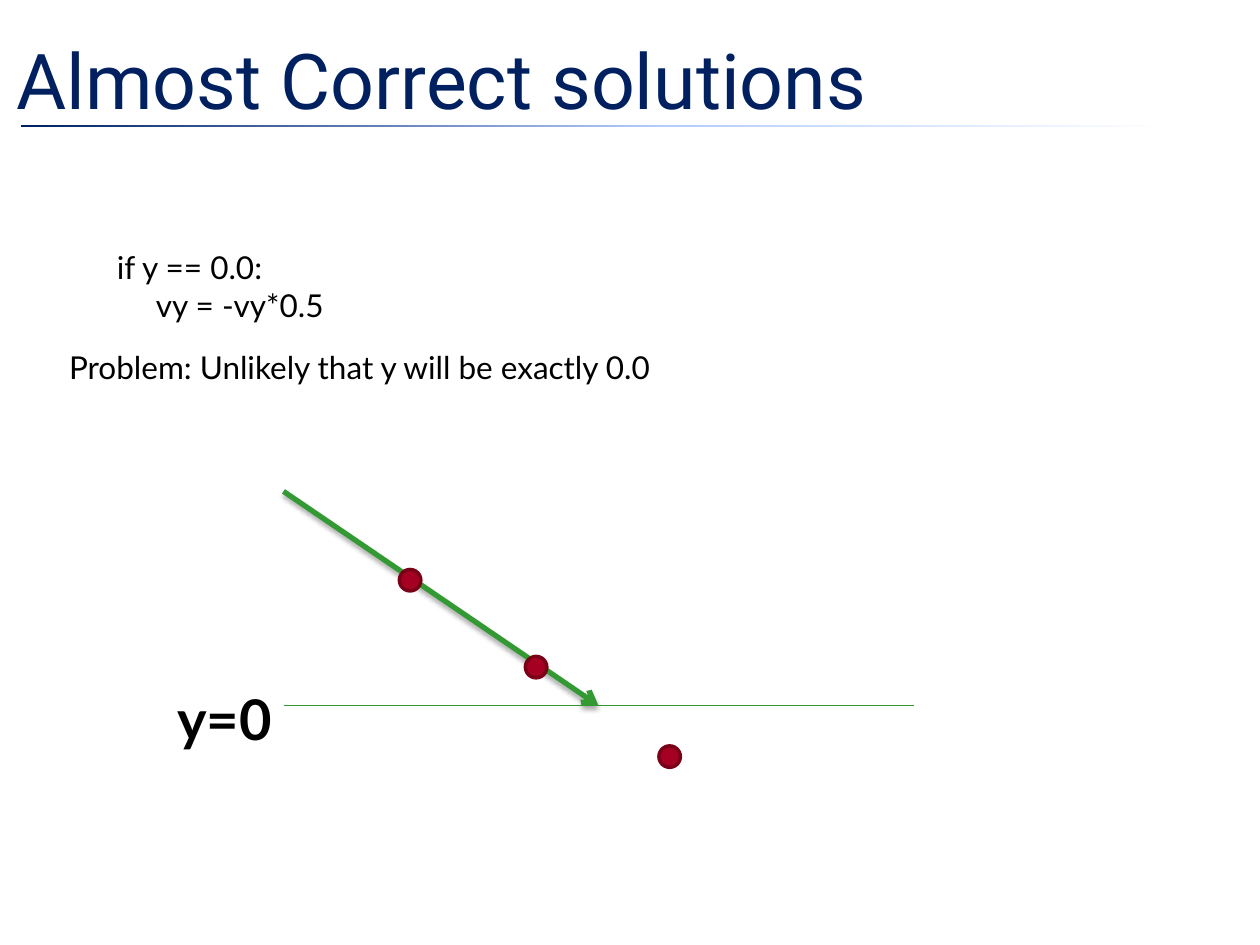
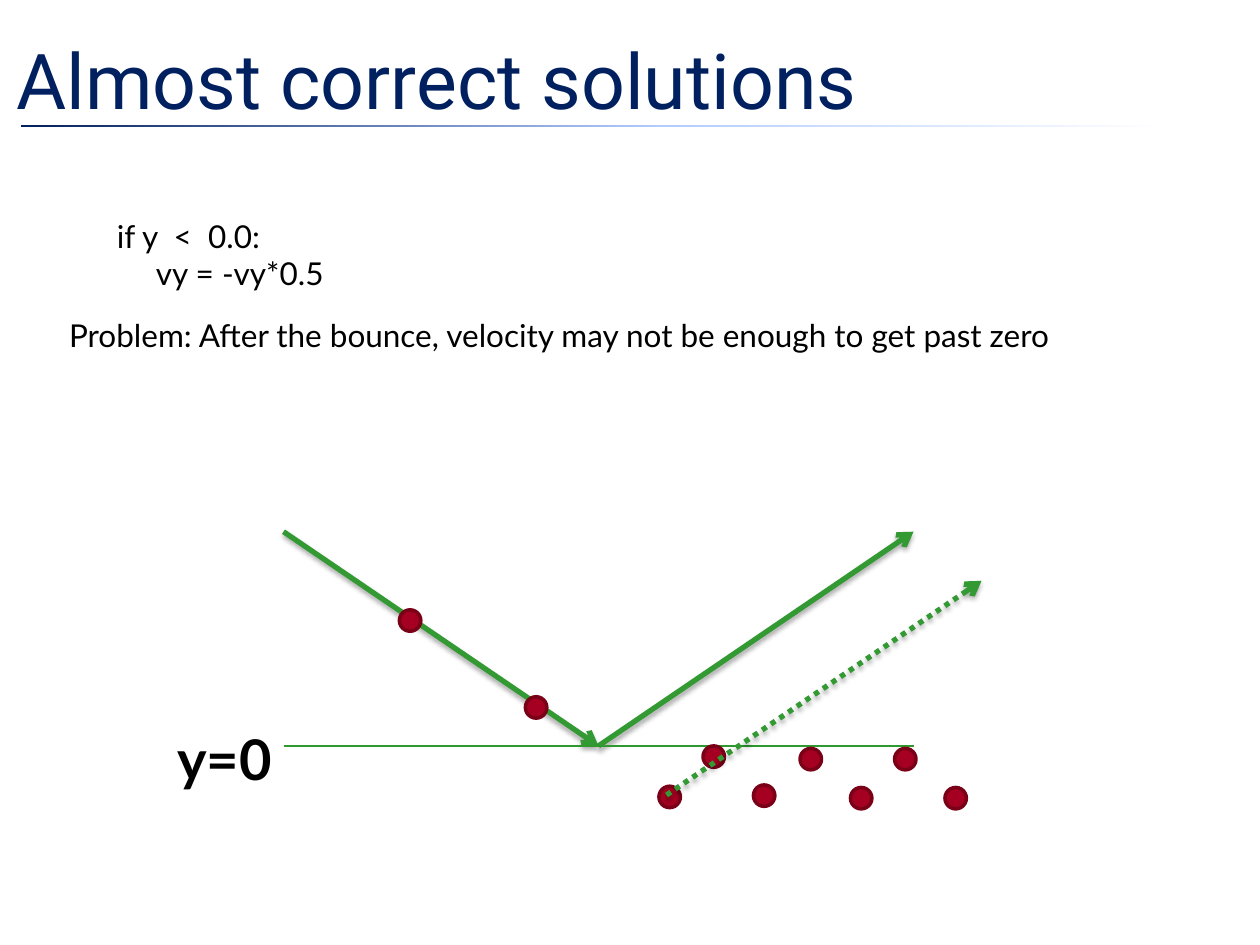
from lxml.etree import SubElement
from pptx import Presentation
from pptx.dml.color import RGBColor
from pptx.enum.dml import MSO_LINE
from pptx.enum.shapes import MSO_CONNECTOR, MSO_SHAPE
from pptx.enum.text import MSO_ANCHOR, MSO_AUTO_SIZE, PP_ALIGN
from pptx.oxml.ns import qn
from pptx.util import Inches, Pt

NAVY = RGBColor(0x00, 0x20, 0x60)
PALE_BLUE = RGBColor(0xB4, 0xCD, 0xFF)
WHITE = RGBColor(0xFF, 0xFF, 0xFF)
BLACK = RGBColor(0x00, 0x00, 0x00)
PATH_GREEN = RGBColor(0x33, 0x99, 0x33)
GROUND_GREEN = RGBColor(0x2F, 0x98, 0x2F)
BALL_RED = RGBColor(0xA5, 0x00, 0x21)
BALL_EDGE = RGBColor(0x7A, 0x00, 0x18)

BAND_STOPS = [(7, WHITE), (48, PALE_BLUE), (100, NAVY)]
LEFT, BOUNCE, RIGHT = 2.25, 4.75, 7.25
RISE = 1.7
BALL = 0.17
FALLING_BALLS = [(3.17, -1.08), (4.17, -0.39), (5.23, 0.32)]
STUCK_BALLS = [(5.58, 0), (5.98, 0.31), (6.35, 0.02),
               (6.75, 0.33), (7.1, 0.02), (7.5, 0.33)]


class Deck:
    title_font = "Roboto"
    body_font = "Lato"

    def __init__(self):
        self.presentation = Presentation()
        self.presentation.slide_width = Inches(10)
        self.presentation.slide_height = Inches(7.5)
        self.slide = None

    def start_slide(self, heading):
        layout = self.presentation.slide_layouts[5]
        self.slide = self.presentation.slides.add_slide(layout)
        self.band()
        title = self.slide.shapes.title
        title.left, title.top = Inches(0.03), Inches(0)
        title.width, title.height = Inches(9.5), Inches(1.25)
        title.text_frame.text = heading
        title.text_frame.vertical_anchor = MSO_ANCHOR.MIDDLE
        paragraph = title.text_frame.paragraphs[0]
        paragraph.alignment = PP_ALIGN.LEFT
        self.style_font(paragraph.font, self.title_font, 44, NAVY)

    def style_font(self, font, name, size, color, bold=False):
        font.name, font.size, font.bold = name, Pt(size), bold
        font.color.rgb = color

    def band(self):
        band = self.slide.shapes.add_shape(
            MSO_SHAPE.RECTANGLE, Inches(0.17), Inches(0.99), Inches(9.83), Inches(0.02))
        band.shadow.inherit = False
        band.line.fill.background()
        band.fill.gradient()
        band.fill.gradient_angle = 180
        stops = band.element.spPr.find(qn("a:gradFill")).find(qn("a:gsLst"))
        stops.clear()
        for position, color in BAND_STOPS:
            stop = SubElement(stops, qn("a:gs"), pos=str(position * 1000))
            SubElement(stop, qn("a:srgbClr"), val=str(color))

    def text(self, left, top, width, height, lines, size=18, bold=False):
        box = self.slide.shapes.add_textbox(
            Inches(left), Inches(top), Inches(width), Inches(height))
        frame = box.text_frame
        frame.word_wrap = True
        frame.auto_size = MSO_AUTO_SIZE.SHAPE_TO_FIT_TEXT
        frame.text = "\n".join(lines)
        for paragraph in frame.paragraphs:
            self.style_font(paragraph.font, self.body_font, size, BLACK, bold)
        return frame

    def explanation(self, top, condition, problem, problem_width):
        code = self.text(0.83, top, 1.84, 0.71, [condition, "vy = -vy*0.5"])
        code.paragraphs[1]._p.get_or_add_pPr().set("marL", str(Inches(0.31)))
        self.text(0.45, top + 0.79, problem_width, 0.4, [problem])

    def line(self, start, end, color, width):
        line = self.slide.shapes.add_connector(
            MSO_CONNECTOR.STRAIGHT, *map(Inches, start + end))
        line.line.color.rgb = color
        line.line.width = Pt(width)
        effects = SubElement(line.element.spPr, qn("a:effectLst"))
        return line, effects

    def arrow(self, start, end, dotted=False):
        arrow, effects = self.line(start, end, PATH_GREEN, 3)
        if dotted:
            arrow.line.dash_style = MSO_LINE.ROUND_DOT
        outline = arrow.element.spPr.find(qn("a:ln"))
        SubElement(outline, qn("a:tailEnd"), type="arrow")
        shadow = SubElement(effects, qn("a:outerShdw"), blurRad=str(Pt(3.1)),
                            dist=str(Pt(1.8)), dir="5400000", rotWithShape="0")
        shade = SubElement(shadow, qn("a:srgbClr"), val=str(BLACK))
        SubElement(shade, qn("a:alpha"), val="35000")

    def ground(self, level):
        self.line((LEFT, level), (RIGHT, level), GROUND_GREEN, 0.75)
        self.text(1.31, level - 0.22, 1.03, 0.64, ["y=0"], 32, True)

    def balls(self, level, places):
        for left, drop in places:
            ball = self.slide.shapes.add_shape(
                MSO_SHAPE.OVAL, Inches(left), Inches(level + drop), Inches(BALL), Inches(BALL))
            ball.shadow.inherit = False
            ball.fill.solid()
            ball.fill.fore_color.rgb = BALL_RED
            ball.line.color.rgb = BALL_EDGE
            ball.line.width = Pt(2)


deck = Deck()

level = 5.6
deck.start_slide("Almost Correct solutions")
deck.explanation(1.92, "if y == 0.0:", "Problem: Unlikely that y will be exactly 0.0", 5.07)
deck.arrow((LEFT, level - RISE), (BOUNCE, level))
deck.ground(level)
deck.balls(level, FALLING_BALLS)

level = 5.92
deck.start_slide("Almost correct solutions")
deck.arrow((LEFT, level - RISE), (BOUNCE, level))
deck.arrow((BOUNCE, level), (RIGHT, level - RISE))
deck.ground(level)
deck.balls(level, FALLING_BALLS + STUCK_BALLS)
deck.arrow((5.29, 6.31), (7.79, 6.31 - RISE), dotted=True)
deck.explanation(1.67, "if y  <  0.0:",
                 "Problem: After the bounce, velocity may not be enough to get past zero", 8.43)

deck.presentation.save("out.pptx")
